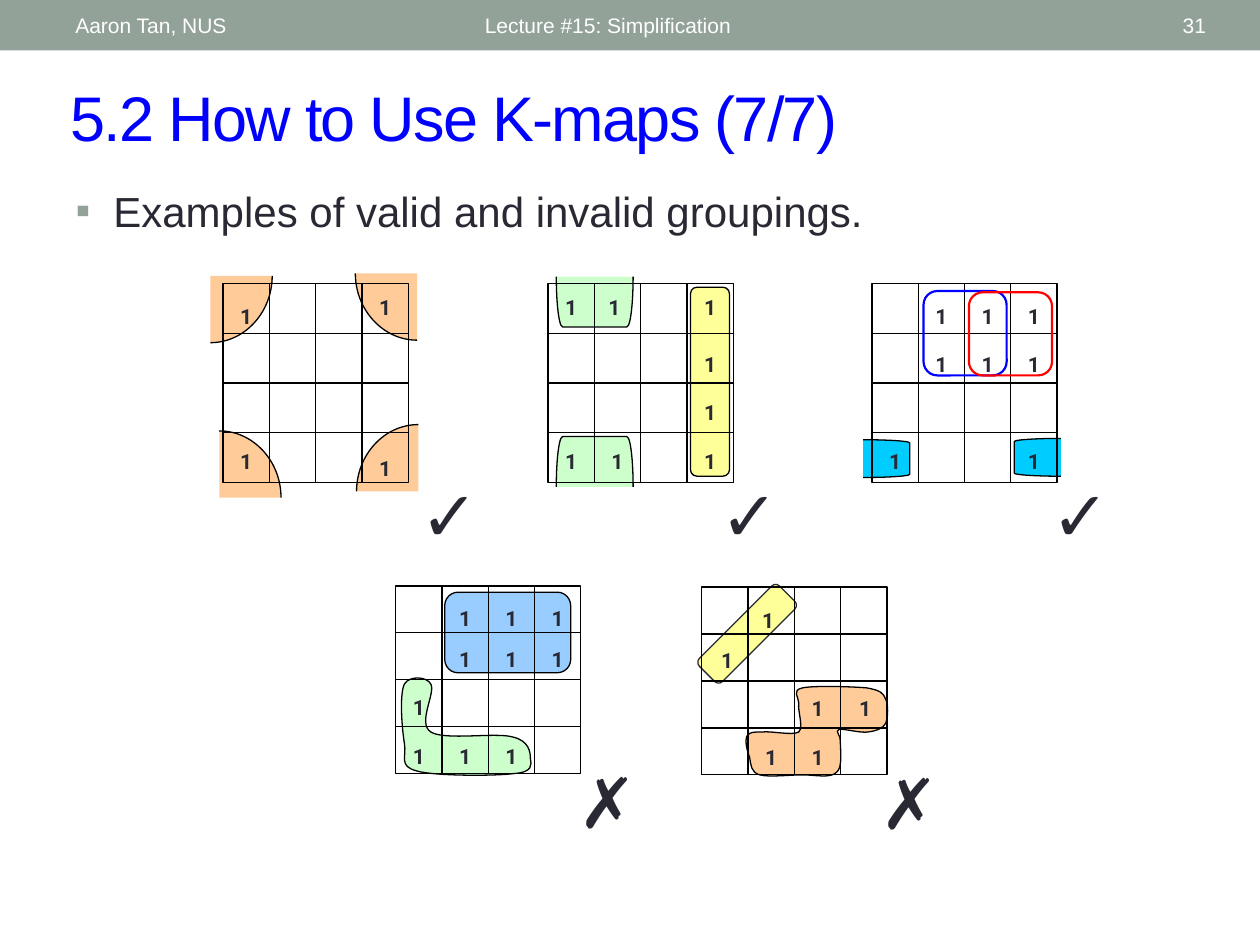
from copy import deepcopy

from lxml.etree import SubElement
from pptx import Presentation
from pptx.dml.color import RGBColor
from pptx.enum.shapes import MSO_CONNECTOR, MSO_SHAPE
from pptx.enum.text import MSO_ANCHOR, PP_ALIGN
from pptx.oxml.ns import qn
from pptx.util import Inches, Pt

COLORS = {
    "bar": "93A299", "title": "0000FF", "text": "292934", "white": "FFFFFF",
    "black": "000000", "yellow": "FFFF99", "green": "CCFFCC", "cyan": "00CCFF",
    "orange": "FFCC99", "sky": "99CCFF", "blue": "0000FF", "red": "FF0000",
}
ROUND, BRACKET_L, BRACKET_R = (
    MSO_SHAPE.ROUNDED_RECTANGLE, MSO_SHAPE.LEFT_BRACKET, MSO_SHAPE.RIGHT_BRACKET)
MAP_W, TOP_H, LOW_H = 1.47, 1.58, 1.49

ELBOW = [
    (.94, 1.49), (.79, 1.51), (.31, 1.51), (.17, 1.47), (.02, 1.43), (.09, 1.36),
    (.07, 1.25), (.05, 1.13), (.03, .86), (.07, .78), (.11, .71), (.25, .72),
    (.28, .78), (.32, .85), (.17, 1.09), (.28, 1.16), (.39, 1.23), (.8, 1.16),
    (.93, 1.2), (1.06, 1.23), (1.07, 1.32), (1.07, 1.37), (1.08, 1.42),
    (1.09, 1.48), (.94, 1.49)]
ZIGZAG = [
    (1.31, .8), (1.2, .79), (.89, .78), (.8, .8), (.71, .82), (.77, .87),
    (.77, .92), (.76, .98), (.81, 1.11), (.77, 1.15), (.72, 1.18), (.55, 1.14),
    (.48, 1.15), (.41, 1.15), (.38, 1.15), (.36, 1.18), (.34, 1.22), (.36, 1.3),
    (.38, 1.35), (.39, 1.41), (.39, 1.47), (.46, 1.49), (.53, 1.51), (.7, 1.49),
    (.8, 1.49), (.9, 1.49), (1.02, 1.52), (1.07, 1.47), (1.12, 1.43), (1.1, 1.29),
    (1.1, 1.23), (1.11, 1.18), (1.05, 1.14), (1.09, 1.13), (1.12, 1.12),
    (1.26, 1.16), (1.32, 1.15), (1.39, 1.14), (1.44, 1.12), (1.46, 1.08),
    (1.48, 1.03), (1.48, .93), (1.46, .89), (1.44, .84), (1.42, .82), (1.31, .8)]


def rgb(name):
    """Return the named colour."""
    return RGBColor.from_string(COLORS[name])


def paint(sp, fill=None, line="black", width=.75):
    """Set the fill and outline of a shape."""
    sp.shadow.inherit = False
    if fill:
        sp.fill.solid()
        sp.fill.fore_color.rgb = rgb(fill)
    else:
        sp.fill.background()
    if line:
        sp.line.color.rgb = rgb(line)
        sp.line.width = Pt(width)
    else:
        sp.line.fill.background()


def style(p, size, color, font="Arial", bold=False):
    """Format every run of a paragraph."""
    for r in p.runs:
        r.font.size, r.font.name, r.font.bold = Pt(size), font, bold
        r.font.color.rgb = rgb(color)


def label(s, text, box, size, color, align=PP_ALIGN.LEFT, anchor=MSO_ANCHOR.TOP,
          wrap=True, **font):
    """Add a text box with one line."""
    tf = s.shapes.add_textbox(*map(Inches, box)).text_frame
    tf.word_wrap, tf.vertical_anchor = wrap, anchor
    p = tf.paragraphs[0]
    p.text, p.alignment = text, align
    style(p, size, color, **font)


def preset(s, x, y, kind, box, fill=None, line="black", width=.75, rot=0, adj=None):
    """Add a preset outline around cells of the map at x, y."""
    dx, dy, w, h = box
    sp = s.shapes.add_shape(kind, *map(Inches, (x + dx, y + dy, w, h)))
    sp.rotation = rot
    if adj:
        sp.adjustments[0] = adj
    paint(sp, fill, line, width)


def curve(s, x, y, pts, fill):
    """Add a closed outline of cubic curves and return its geometry."""
    pts = [(Inches(x + dx), Inches(y + dy)) for dx, dy in pts]
    fb = s.shapes.build_freeform(*pts[0], scale=1.0)
    fb.add_line_segments(pts[1:], close=True)
    sp = fb.convert_to_shape()
    paint(sp, fill)
    geom = next(sp._element.iter(qn("a:path")))
    steps = geom.findall(qn("a:lnTo"))
    for i in range(0, len(steps) - 2, 3):
        bez = SubElement(geom, qn("a:cubicBezTo"))
        steps[i].addprevious(bez)
        for step in steps[i:i + 3]:
            bez.append(step[0])
            geom.remove(step)
    return geom


def wedge(s, x, y, cx, cy, sx, sy):
    """Add a quarter disc with only its arc outlined."""
    pts = [(0, .53), (.27, .53), (.49, .29), (.49, 0), (0, 0)]
    area = curve(s, x, y, [(cx + sx * a, cy + sy * b) for a, b in pts], "orange")
    arc = deepcopy(area)
    for node in arc[2:]:
        arc.remove(node)
    arc.set("fill", "none")
    area.set("stroke", "0")
    area.addprevious(arc)


def rule(s, x1, y1, x2, y2):
    """Add a thin black line."""
    c = s.shapes.add_connector(MSO_CONNECTOR.STRAIGHT, *map(Inches, (x1, y1, x2, y2)))
    c.line.color.rgb, c.line.width = rgb("black"), Pt(.75)
    SubElement(c._element.spPr, qn("a:effectLst"))


def k_map(s, x, y, h, ones, mark, mark_at, groups):
    """Draw a four by four map with its groups, ones and verdict."""
    for add, *args in groups:
        add(s, x, y, *args)
    preset(s, x, y, MSO_SHAPE.RECTANGLE, (0, 0, MAP_W, h))
    cell = MAP_W / 4
    for i in range(1, 4):
        rule(s, x, y + i * h / 4, x + MAP_W, y + i * h / 4)
        rule(s, x + i * cell, y, x + i * cell, y + h)
    for dy, cols in ones.items():
        for col in cols:
            label(s, "1", (x + col * cell, y + dy, cell, .3), 12, "text",
                  PP_ALIGN.CENTER, font="Roboto", bold=True)
    label(s, mark, (x + mark_at[0], y + mark_at[1], .56, .77), 40, "text", wrap=False)


def header(s, x, y, w, h):
    """Draw the top bar with its three labels."""
    preset(s, x, y, MSO_SHAPE.RECTANGLE, (0, 0, w, h), "bar", None)
    for text, dx, width, align in [
            ("Aaron Tan, NUS", .5, 3.17, PP_ALIGN.LEFT),
            ("Lecture #15: Simplification", 3.75, 4.5, PP_ALIGN.LEFT),
            ("31", 8.72, .95, PP_ALIGN.RIGHT)]:
        label(s, text, (x + dx, y + .02, width, .36), 12, "white", align,
              MSO_ANCHOR.MIDDLE)


def place(sp, box, text, size, color):
    """Move and fill a placeholder and return its paragraph."""
    sp.left, sp.top, sp.width, sp.height = map(Inches, box)
    sp.text_frame.text = text
    p = sp.text_frame.paragraphs[0]
    p.alignment = PP_ALIGN.LEFT
    style(p, size, color)
    return p


def headings(s):
    """Fill the title and the bulleted line."""
    p = place(s.shapes.title, (.46, .57, 9.07, .7), "5.2 How to Use K-maps (7/7)",
              36, "title")
    p.runs[0].font._element.set("spc", "-100")
    p = place(s.placeholders[1], (.5, 1.42, 9, .76),
              "Examples of valid and invalid groupings.", 24, "text")
    pPr = p._p.get_or_add_pPr()
    pPr.set("marL", str(Inches(.3)))
    pPr.set("indent", str(-Inches(.3)))
    SubElement(SubElement(pPr, qn("a:buClr")), qn("a:srgbClr")).set("val", COLORS["bar"])
    SubElement(pPr, qn("a:buFont")).set("typeface", "Arial")
    SubElement(pPr, qn("a:buChar")).set("char", "▪")


def maps(s, top, low):
    """Draw the valid maps above and the invalid ones below."""
    k_map(s, 1.77, top, TOP_H, {.04: [3], .11: [0], 1.26: [0], 1.32: [3]},
          "✓", (1.47, 1.44), [
              (wedge, 1.55, 1.65, -1, -1), (wedge, -.03, 1.7, 1, -1),
              (wedge, -.1, -.06, 1, 1), (wedge, 1.54, -.08, -1, 1)])
    k_map(s, 4.35, top, TOP_H,
          {.04: [0, .93, 3], .49: [3], .87: [3], 1.26: [0, 1, 3]},
          "✓", (1.27, 1.44), [
              (preset, ROUND, (1.13, .03, .31, 1.5), "yellow"),
              (preset, BRACKET_L, (.17, 1.11, .4, .61), "green", "black", .75, 90, .125),
              (preset, BRACKET_L, (.17, -.16, .4, .61), "green", "black", .75, 270, .125)])
    k_map(s, 6.92, top, TOP_H, {.11: [1, 2, 3], .49: [1, 2, 3], 1.26: [0, 3]},
          "✓", (1.33, 1.44), [
              (preset, BRACKET_L, (1.13, 1.23, .37, .3), "cyan"),
              (preset, BRACKET_R, (-.07, 1.24, .37, .3), "cyan")])
    preset(s, 6.92, top, ROUND, (.41, .06, .66, .67), None, "blue", 1.25)
    preset(s, 6.92, top, ROUND, (.77, .07, .66, .66), None, "red", 1.25)
    k_map(s, 3.14, low, LOW_H,
          {.11: [1, 2, 3], .43: [1, 2, 3], .81: [0], 1.2: [0, 1, 2]},
          "✗", (1.35, 1.32), [
              (curve, ELBOW, "green"),
              (preset, ROUND, (.39, .05, 1, .64), "sky")])
    k_map(s, 5.57, low + .01, LOW_H,
          {.11: [.93], .43: [.05], .81: [2, 3.03], 1.2: [1, 2]},
          "✗", (1.32, 1.32), [
              (curve, ZIGZAG, "orange"),
              (preset, ROUND, (-.09, .24, .9, .26), "yellow", "text", .75, 315)])


prs = Presentation()
prs.slide_width, prs.slide_height = Inches(10), Inches(7.5)
slide = prs.slides.add_slide(prs.slide_layouts[1])
header(slide, 0, 0, 10, .4)
headings(slide)
maps(slide, 2.25, 4.65)
prs.save("out.pptx")
